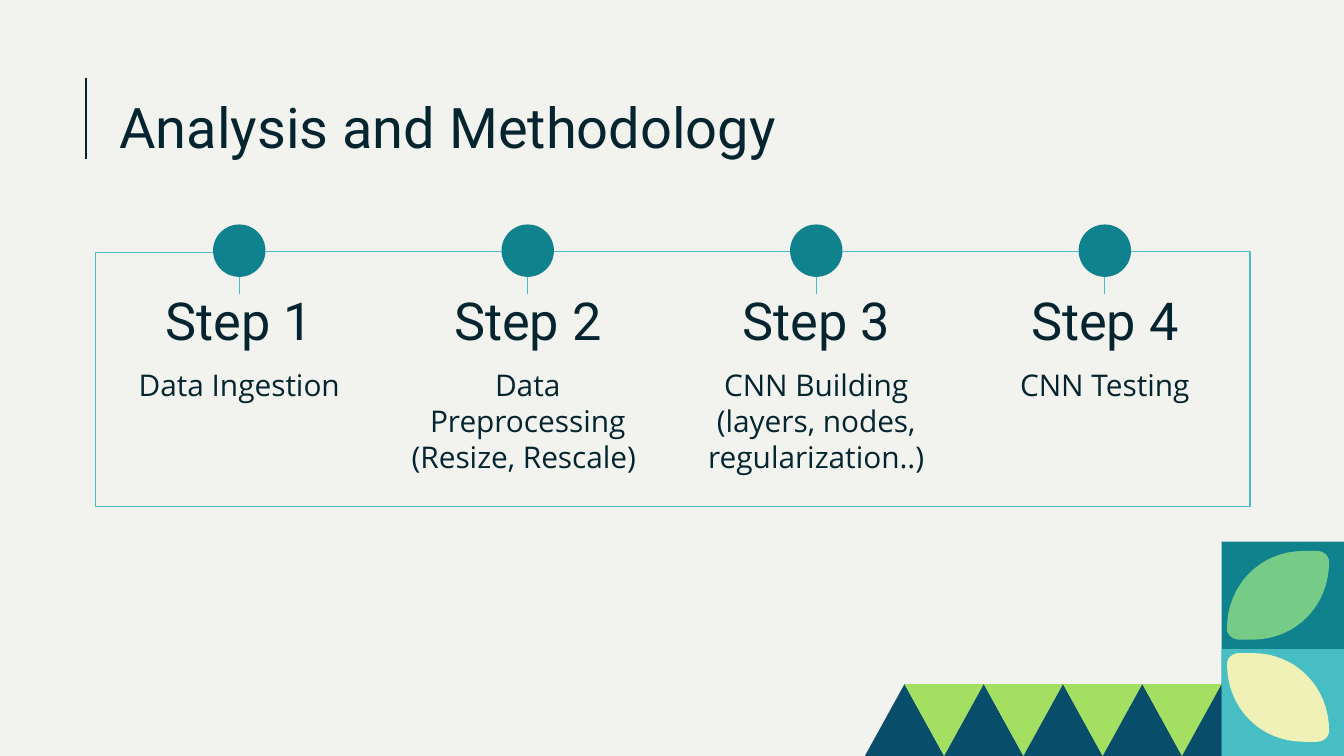
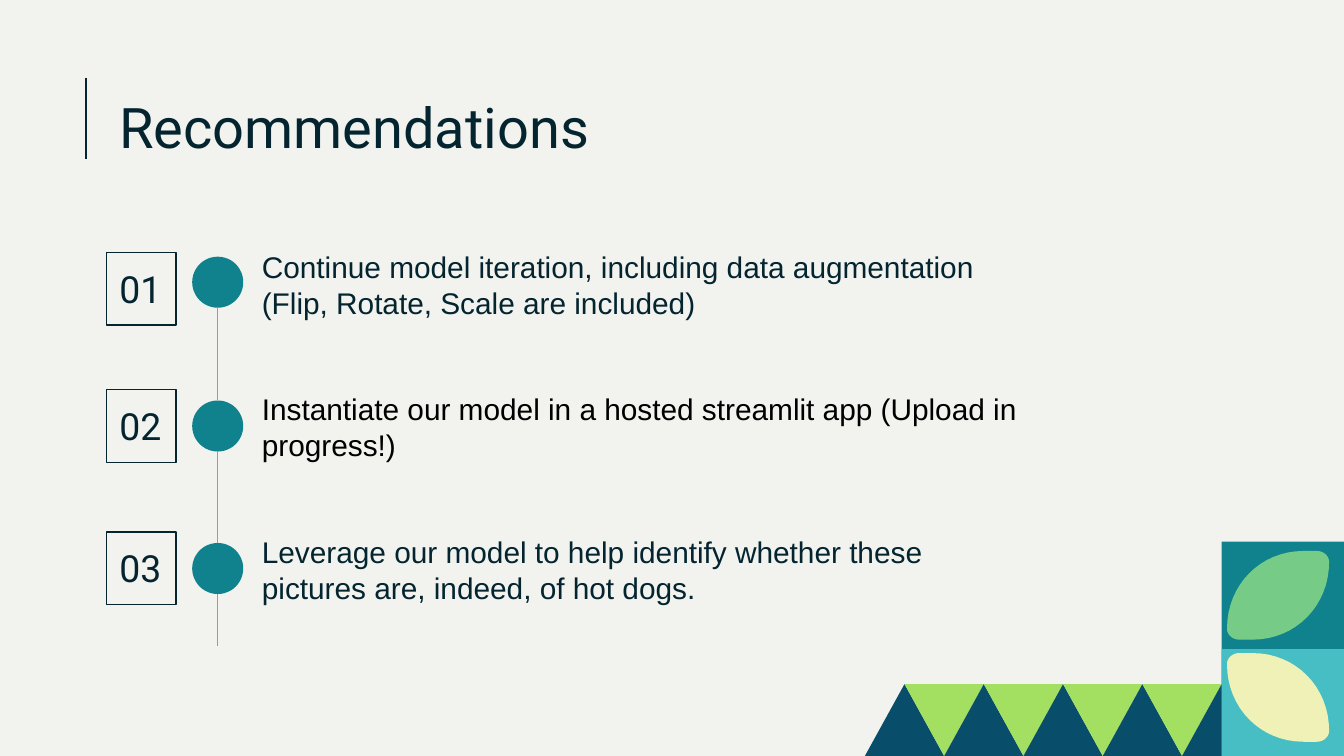
from dataclasses import dataclass
from itertools import pairwise

from lxml.etree import SubElement
from pptx import Presentation
from pptx.dml.color import RGBColor
from pptx.enum.shapes import MSO_CONNECTOR as Conn, MSO_SHAPE as Kind
from pptx.enum.text import MSO_ANCHOR as Anchor, PP_ALIGN as Align
from pptx.oxml.ns import qn
from pptx.shapes.autoshape import Shape
from pptx.shapes.connector import Connector
from pptx.slide import Slide
from pptx.util import Inches, Pt

Point = tuple[float, float]

WIDE = 10
HIGH = WIDE * 9 / 16
HEX = {
    "paper": "F2F3EE",
    "ink": "042530",
    "black": "000000",
    "teal": "10828D",
    "aqua": "47BEC4",
    "leaf": "76CC86",
    "cream": "F0F1B7",
    "navy": "084D6A",
    "lime": "A3DF61",
}


@dataclass(frozen=True)
class Style:
    font: str
    size: float
    color: str = "ink"
    align: Align = Align.LEFT
    anchor: Anchor = Anchor.TOP
    lead: float | None = None


@dataclass(frozen=True)
class Step:
    name: str
    text: str


@dataclass(frozen=True)
class Advice:
    text: str
    box: float
    dot: float
    color: str = "ink"


TITLE = Style("Roboto", 30)
HEAD = Style("Roboto", 28, align=Align.CENTER, anchor=Anchor.BOTTOM)
BODY = Style("Open Sans", 16, align=Align.CENTER, lead=19.2)
DIGIT = Style("Roboto", 20)

STEPS = [
    Step("Step 1", "Data Ingestion"),
    Step("Step 2", "Data Preprocessing (Resize, Rescale) "),
    Step("Step 3", "CNN Building (layers, nodes, regularization..)"),
    Step("Step 4", "CNN Testing"),
]
TIPS = [
    Advice("Continue model iteration, including data augmentation "
           "(Flip, Rotate, Scale are included)", 1.88, 1.91),
    Advice("Instantiate our model in a hosted streamlit app "
           "(Upload in progress!)", 2.9, 2.98, "black"),
    Advice("Leverage our model to help identify whether these pictures "
           "are, indeed, of hot dogs.", 3.96, 4.04),
]


def rgb(name: str) -> RGBColor:
    return RGBColor.from_string(HEX[name])


def paint(shape: Shape, fill: str | None, edge: str | None = None) -> Shape:
    shape.shadow.inherit = False
    if fill:
        shape.fill.solid()
        shape.fill.fore_color.rgb = rgb(fill)
    else:
        shape.fill.background()
    if edge:
        shape.line.color.rgb = rgb(edge)
        shape.line.width = Pt(0.75)
    else:
        shape.line.fill.background()
    return shape


def add(slide: Slide, kind: Kind, x: float, y: float, w: float, h: float,
        fill: str | None, edge: str | None = None) -> Shape:
    shape = slide.shapes.add_shape(
        kind, Inches(x), Inches(y), Inches(w), Inches(h))
    return paint(shape, fill, edge)


def write(shape: Shape, text: str, style: Style) -> None:
    frame = shape.text_frame
    frame.word_wrap = True
    frame.vertical_anchor = style.anchor
    frame.margin_left = frame.margin_right = Inches(0.1)
    frame.margin_top = frame.margin_bottom = Inches(0.1)
    para = frame.paragraphs[0]
    para.text = text
    para.alignment = style.align
    if style.lead:
        para.line_spacing = Pt(style.lead)
    para.font.name = style.font
    para.font.size = Pt(style.size)
    para.font.color.rgb = rgb(style.color)


def label(slide: Slide, x: float, y: float, w: float, h: float,
          text: str, style: Style) -> None:
    box = slide.shapes.add_textbox(
        Inches(x), Inches(y), Inches(w), Inches(h))
    write(box, text, style)


def line(slide: Slide, start: Point, end: Point, color: str = "aqua",
         kind: Conn = Conn.STRAIGHT) -> Connector:
    link = slide.shapes.add_connector(
        kind, *(Inches(v) for v in (*start, *end)))
    link.line.color.rgb = rgb(color)
    link.line.width = Pt(0.75)
    SubElement(link._element.spPr, qn("a:effectLst"))
    return link


def loop(slide: Slide, start: Point, end: Point,
         left: float, right: float, low: float) -> None:
    link = line(slide, start, end, kind=Conn.ELBOW)
    geom = link._element.spPr.find(qn("a:prstGeom"))
    geom.set("prst", "bentConnector5")
    guides = geom.find(qn("a:avLst"))
    if guides is None:
        guides = SubElement(geom, qn("a:avLst"))
    span, drop = start[0] - end[0], end[1] - start[1]
    parts = (
        (start[0] - right) / span,
        (low - start[1]) / drop,
        (start[0] - left) / span,
    )
    for i, part in enumerate(parts, 1):
        SubElement(guides, qn("a:gd"), name=f"adj{i}",
                   fmla=f"val {round(part * 100000)}")


def outline(slide: Slide, points: list[Point], fill: str) -> None:
    spots = [(Inches(x), Inches(y)) for x, y in points]
    pen = slide.shapes.build_freeform(*spots[0])
    pen.add_line_segments(spots[1:], close=True)
    paint(pen.convert_to_shape(), fill)


def curve(a: Point, b: Point, c: Point, d: Point) -> list[Point]:
    count = 16
    points = []
    for i in range(count + 1):
        t = i / count
        s = 1 - t
        mix = (s ** 3, 3 * s * s * t, 3 * s * t * t, t ** 3)
        points.append(tuple(
            sum(m * v for m, v in zip(mix, axis))
            for axis in zip(a, b, c, d)))
    return points


def leaf(slide: Slide, mid: float, flip: int, fill: str) -> None:
    half = (
        curve((0.38, -0.25), (0.38, -0.29), (0.34, -0.33), (0.29, -0.33))
        + curve((0.19, -0.33), (-0.13, -0.33), (-0.38, -0.08), (-0.38, 0.25))
    )
    whole = half + [(-x, -y) for x, y in half]
    outline(slide, [(9.51 + x, mid + flip * y) for x, y in whole], fill)


def art(slide: Slide) -> None:
    edge, top, pitch = 9.09, 5.09, 0.59
    add(slide, Kind.RECTANGLE, edge, 4.03, WIDE - edge, HIGH - 4.03, "teal")
    add(slide, Kind.RECTANGLE, edge, 4.83, WIDE - edge, HIGH - 4.83, "aqua")
    leaf(slide, 4.43, 1, "leaf")
    leaf(slide, 5.19, -1, "cream")
    start = edge - 4.5 * pitch
    for i in range(5):
        x = start + i * pitch
        peak = (x + pitch / 2, top)
        foot = (min(x + pitch, edge), HIGH)
        outline(slide, [(x, HIGH), peak, foot], "navy")
        if i < 4:
            outline(slide, [peak, foot, (peak[0] + pitch, top)], "lime")


def page(deck: Presentation, title: str) -> Slide:
    slide = deck.slides.add_slide(deck.slide_layouts[6])
    slide.background.fill.solid()
    slide.background.fill.fore_color.rgb = rgb("paper")
    line(slide, (0.64, 0.58), (0.64, 1.18), "ink")
    art(slide)
    label(slide, 0.79, 0.59, 8.43, 0.63, title, TITLE)
    return slide


def method(deck: Presentation) -> None:
    slide = page(deck, "Analysis and Methodology")
    left, pitch, width, size, rail = 0.79, 6.44 / 3, 1.98, 0.39, 1.87
    half = size / 2
    mids = [left + width / 2 + i * pitch for i in range(len(STEPS))]
    for mid, step in zip(mids, STEPS):
        x = mid - width / 2
        label(slide, x, 2.19, width, 0.52, step.name, HEAD)
        label(slide, x, 2.63, width, 0.35, step.text, BODY)
        line(slide, (mid, 2.06), (mid, 2.19))
        add(slide, Kind.OVAL, mid - half, 1.67, size, size, "teal")
    for a, b in pairwise(mids):
        line(slide, (a + half, rail), (b - half, rail))
    loop(slide, (mids[-1] + half, rail), (mids[0] - half, rail + 0.01),
         left=0.71, right=9.3, low=3.8)


def advise(deck: Presentation) -> None:
    slide = page(deck, "Recommendations")
    size, mid = 0.38, 1.62
    ends = [tip.dot for tip in TIPS[1:]] + [4.81]
    for i, (tip, end) in enumerate(zip(TIPS, ends)):
        line(slide, (mid, tip.dot + size), (mid, end))
        box = add(slide, Kind.RECTANGLE, 0.79, tip.box, 0.52, 0.54,
                  None, "ink")
        write(box, f"{i + 1:02}", DIGIT)
        add(slide, Kind.OVAL, mid - size / 2, tip.dot, size, size, "teal")
        label(slide, 1.85, 1.75 + i * 1.06, 5.82, 0.38, tip.text,
              Style("Arial", 16, tip.color, lead=19.2))


def main() -> None:
    deck = Presentation()
    deck.slide_width, deck.slide_height = Inches(WIDE), Inches(HIGH)
    method(deck)
    advise(deck)
    deck.save("out.pptx")


if __name__ == "__main__":
    main()
